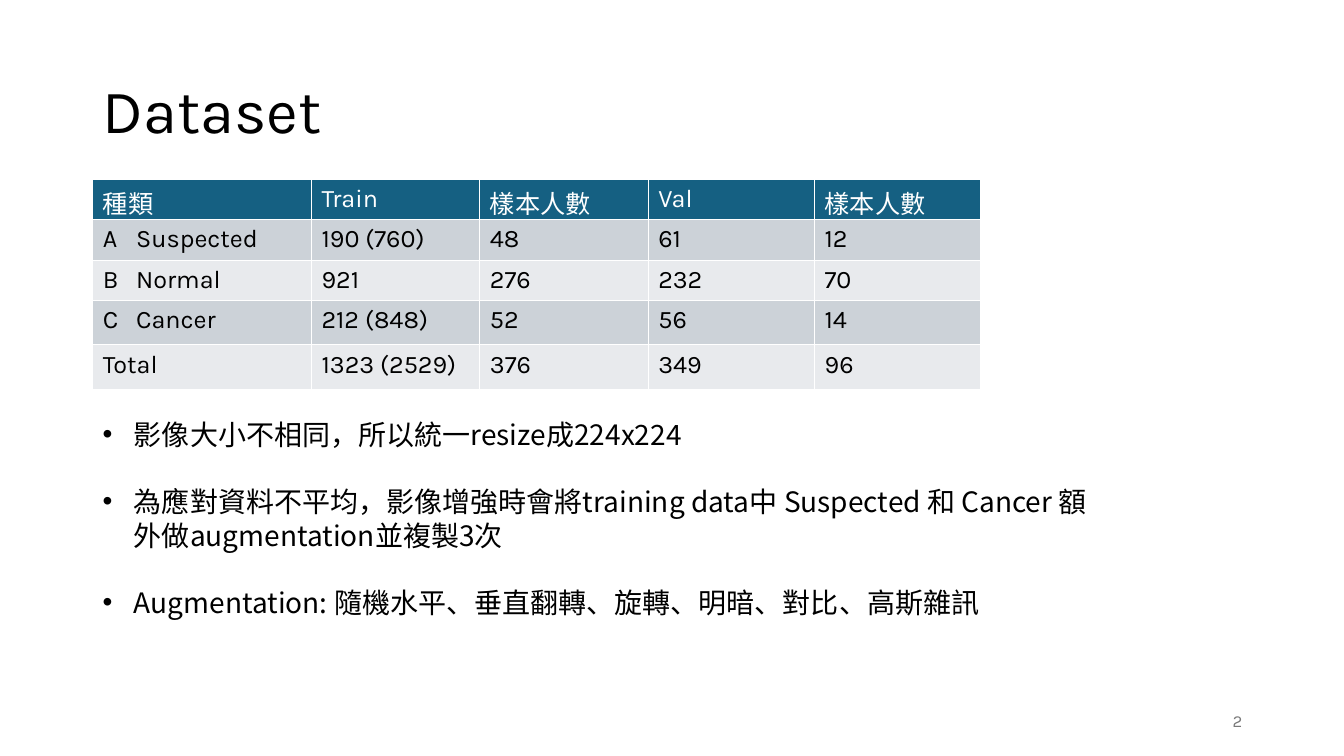
import pptx
import pptx.dml.color
import pptx.enum.text
import pptx.util
from lxml import etree

Inches = pptx.util.Inches
Pt = pptx.util.Pt
RGBColor = pptx.dml.color.RGBColor
ALIGN = pptx.enum.text.PP_ALIGN
ANCHOR = pptx.enum.text.MSO_ANCHOR

BLACK = RGBColor(0x00, 0x00, 0x00)
WHITE = RGBColor(0xFF, 0xFF, 0xFF)
GRAY = RGBColor(0x79, 0x79, 0x79)
HEADER_BLUE = RGBColor(0x15, 0x60, 0x82)
BANDS = (RGBColor(0xCC, 0xD2, 0xD8), RGBColor(0xE8, 0xEA, 0xED))
DRAWING_NS = "{http://schemas.openxmlformats.org/drawingml/2006/main}"

LEFT = 0.92
SAMPLES = [
    ["種類", "Train", "樣本人數", "Val", "樣本人數"],
    ["A\tSuspected", "190 (760)", "48", "61", "12"],
    ["B\tNormal", "921", "276", "232", "70"],
    ["C\tCancer", "212 (848)", "52", "56", "14"],
    ["Total", "1323 (2529)", "376", "349", "96"],
]
COLUMN_WIDTHS = [2.17, 1.67, 1.67, 1.65, 1.65]
ROW_HEIGHTS = [0.39, 0.4, 0.4, 0.44, 0.44]
NOTES = [
    "影像大小不相同，所以統一resize成224x224",
    "為應對資料不平均，影像增強時會將training data中 Suspected 和 Cancer "
    "額外做augmentation並複製3次",
    "Augmentation: 隨機水平、垂直翻轉、旋轉、明暗、對比、高斯雜訊",
]


def write(paragraph, text, *, size, font="Karla", asian_font=None, color=BLACK,
          align=None, line_spacing=None, space_before=0):
    """Put one formatted run into a paragraph."""
    paragraph.alignment = align
    paragraph.line_spacing = line_spacing
    paragraph.space_before = Pt(space_before)
    run = paragraph.add_run()
    run.text = text
    run.font.name = font
    run.font.size = Pt(size)
    run.font.bold = False
    run.font.color.rgb = color
    if asian_font:
        etree.SubElement(run._r.get_or_add_rPr(), DRAWING_NS + "ea", typeface=asian_font)


class DatasetSlide:
    def __init__(self, presentation):
        self.slide = presentation.slides.add_slide(presentation.slide_layouts[6])
        self.note_font = "Noto Sans CJK SC"
        self.note_indent = Inches(0.31)
        self.class_tab = Inches(0.33)

    def text_frame(self, left, top, width, height, anchor=ANCHOR.TOP):
        box = self.slide.shapes.add_textbox(
            Inches(left), Inches(top), Inches(width), Inches(height))
        frame = box.text_frame
        frame.word_wrap = True
        frame.vertical_anchor = anchor
        return frame

    def label(self, text, left, top, width, height, **style):
        frame = self.text_frame(left, top, width, height, ANCHOR.MIDDLE)
        write(frame.paragraphs[0], text, **style)

    def bullets(self, notes, left, top, width, height):
        frame = self.text_frame(left, top, width, height)
        for index, note in enumerate(notes):
            paragraph = frame.add_paragraph() if index else frame.paragraphs[0]
            write(paragraph, note, size=20, font=self.note_font,
                  asian_font=self.note_font, space_before=24 if index else 0)
            properties = paragraph._p.get_or_add_pPr()
            properties.set("marL", str(self.note_indent))
            properties.set("indent", str(-self.note_indent))
            etree.SubElement(properties, DRAWING_NS + "buFont", typeface="Arial")
            etree.SubElement(properties, DRAWING_NS + "buChar", char="•")

    def table(self, rows, left, top, widths, heights):
        table = self.slide.shapes.add_table(
            len(rows), len(widths), Inches(left), Inches(top),
            Inches(sum(widths)), Inches(sum(heights))).table
        for column, width in zip(table.columns, widths):
            column.width = Inches(width)
        for r, (values, height) in enumerate(zip(rows, heights)):
            table.rows[r].height = Inches(height)
            for c, value in enumerate(values):
                cell = table.cell(r, c)
                cell.fill.solid()
                cell.fill.fore_color.rgb = BANDS[(r - 1) % 2] if r else HEADER_BLUE
                paragraph = cell.text_frame.paragraphs[0]
                write(paragraph, value, size=18, color=BLACK if r else WHITE)
                if "\t" in value:
                    stops = etree.SubElement(
                        paragraph._p.get_or_add_pPr(), DRAWING_NS + "tabLst")
                    etree.SubElement(stops, DRAWING_NS + "tab",
                                     pos=str(self.class_tab), algn="l")


def main():
    presentation = pptx.Presentation()
    presentation.slide_width = Inches(13.33)
    presentation.slide_height = Inches(7.5)
    page = DatasetSlide(presentation)

    # Title
    page.label("Dataset", LEFT, 0.4, 11.5, 1.45, size=44, line_spacing=0.9)
    # Preprocessing notes
    page.bullets(NOTES, LEFT, 4.09, 10.12, 2.42)
    # Sample counts per class
    page.table(SAMPLES, LEFT, 1.78, COLUMN_WIDTHS, ROW_HEIGHTS)
    # Page number
    page.label("2", 9.42, 6.95, 3, 0.4, size=12, color=GRAY, align=ALIGN.RIGHT)

    presentation.save("out.pptx")


if __name__ == "__main__":
    main()
